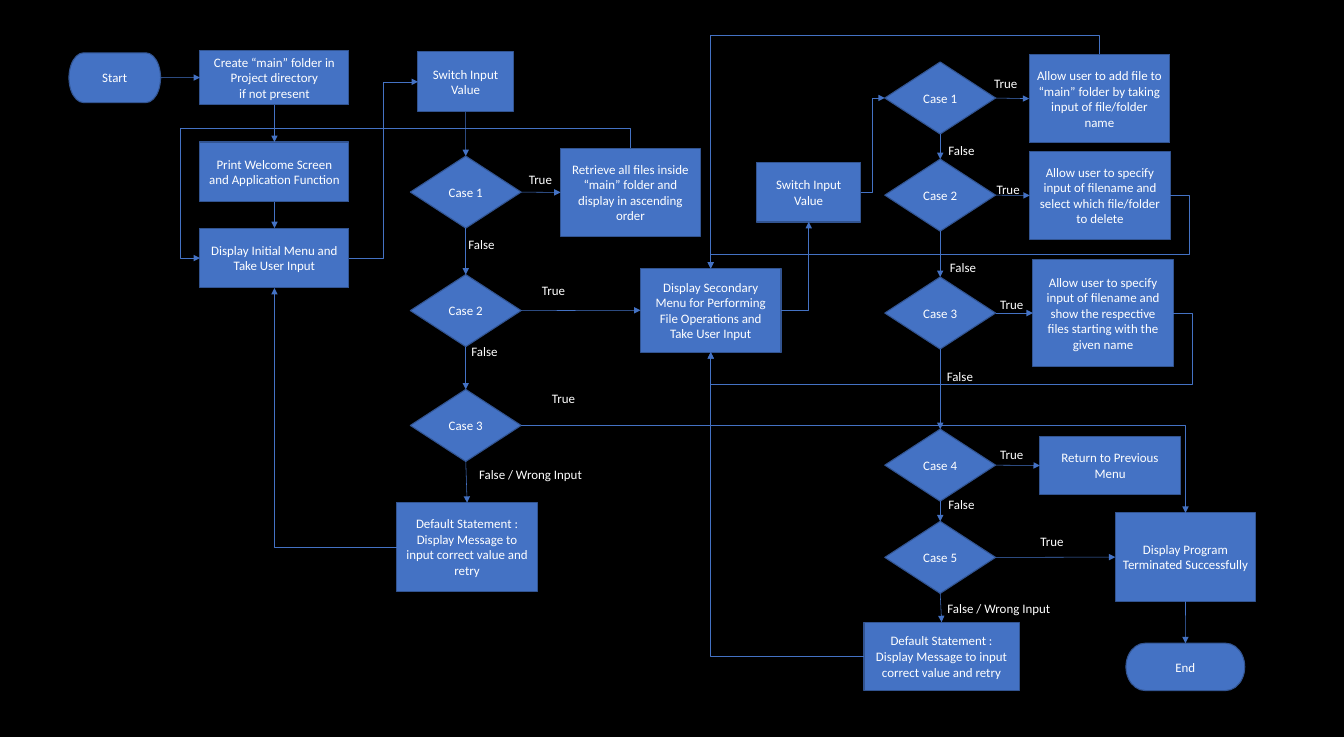
"""Build a flowchart slide of a file handling program with two menus."""
from lxml.etree import SubElement
from pptx import Presentation
from pptx.dml.color import RGBColor
from pptx.enum.shapes import MSO_CONNECTOR as Link, MSO_SHAPE as Shape
from pptx.enum.text import MSO_ANCHOR as Anchor, PP_ALIGN as Align
from pptx.oxml.ns import qn
from pptx.util import Cm, Pt

BLACK, WHITE, BLUE, EDGE = "000000", "FFFFFF", "4472C4", "325491"
TOP, LEFT, BOTTOM, RIGHT = range(4)
RECT, STEP, PILL = Shape.RECTANGLE, Shape.FLOWCHART_PROCESS, Shape.FLOWCHART_TERMINATOR
RETRY = "Default Statement : Display Message to input correct value and retry"

STEPS = {
    "start": (PILL, 2.26, 1.73, 3, 1.63, "Start"),
    "create": (RECT, 6.55, 1.65, 4.88, 1.78,
               "Create “main” folder in Project directory\nif not present"),
    "welcome": (RECT, 6.55, 4.65, 4.88, 1.96, "Print Welcome Screen and Application Function"),
    "menu": (RECT, 6.55, 7.47, 4.88, 1.96, "Display Initial Menu and Take User Input"),
    "switch": (RECT, 13.69, 1.7, 3.12, 1.96, "Switch Input\nValue"),
    "retrieve": (STEP, 18.36, 4.85, 4.58, 2.9,
                 "Retrieve all files inside “main” folder and display in ascending order"),
    "retry": (STEP, 13, 16.46, 4.6, 2.9, RETRY),
    "submenu": (STEP, 20.98, 8.79, 4.6, 2.74,
                "Display Secondary Menu for Performing File Operations and Take User Input"),
    "subswitch": (RECT, 24.79, 5.31, 3.4, 1.96, "Switch Input\nValue"),
    "add": (STEP, 33.71, 1.78, 4.6, 2.9,
            "Allow user to add file to “main” folder by taking input of file/folder name"),
    "delete": (STEP, 33.73, 4.95, 4.6, 2.9,
               "Allow user to specify input of filename and select which file/folder to delete"),
    "show": (STEP, 33.83, 8.51, 4.6, 3.48,
             "Allow user to specify input of filename and show the respective files "
             "starting with the given name"),
    "return": (STEP, 34.06, 14.3, 4.6, 1.88, "Return to Previous Menu"),
    "subretry": (STEP, 28.3, 20.37, 5.08, 2.24, RETRY),
    "terminated": (STEP, 36.53, 16.79, 4.6, 2.9, "Display Program Terminated Successfully"),
    "end": (PILL, 36.88, 21.06, 3.89, 1.55, "End"),
}
CASES = {
    "case": (13.44, [5.11, 8.99, 12.75]),
    "subcase": (28.98, [2.03, 5.21, 9.07, 14.05, 17.07]),
}
CASE_SIZE = 3.63, 2.36

DOWNWARD = [
    ("create", "welcome", "menu"),
    ("switch", "case1", "case2", "case3", "retry"),
    ("subcase1", "subcase2", "subcase3", "subcase4", "subcase5", "subretry"),
    ("terminated", "end"),
]
RIGHTWARD = [
    ("start", "create"), ("case1", "retrieve"), ("case2", "submenu"),
    ("subcase1", "add"), ("subcase2", "delete"), ("subcase3", "show"),
    ("subcase4", "return"), ("subcase5", "terminated"),
]
BENT = [
    ("menu", RIGHT, "switch", LEFT, 3, [0.5]),
    ("retry", LEFT, "menu", BOTTOM, 2, []),
    ("case3", RIGHT, "terminated", TOP, 2, []),
    ("subswitch", RIGHT, "subcase1", LEFT, 3, [0.5]),
    ("subretry", LEFT, "submenu", BOTTOM, 2, []),
    ("retrieve", TOP, "menu", LEFT, 4, [-0.176, 1.045]),
    ("submenu", RIGHT, "subswitch", BOTTOM, 2, []),
    ("show", RIGHT, "submenu", BOTTOM, 4, [-0.042, 1.83]),
    ("delete", RIGHT, "submenu", TOP, 4, [-0.042, 0.802]),
    ("add", TOP, "submenu", TOP, 3, [-0.09]),
]
ANSWERS = {
    ("True", 1.27): [(17.07, 5.49), (17.5, 9.14), (17.83, 12.67), (32.31, 2.36),
                     (32.39, 5.82), (32.51, 9.6), (32.51, 14.5), (33.83, 17.35)],
    ("False", 1.37): [(15.09, 7.62), (15.19, 11.13), (30.81, 4.55), (30.86, 8.38),
                      (30.76, 11.94), (30.81, 16.15)],
    ("False / Wrong Input", 3.91): [(15.44, 15.14), (30.78, 19.53)],
}


def paint(fill, color):
    fill.solid()
    fill.fore_color.rgb = RGBColor.from_string(color)


def write(frame, text, align):
    frame.text = text
    for paragraph in frame.paragraphs:
        paragraph.alignment = align
        paragraph.font.size, paragraph.font.name = Pt(12), "Calibri"
        paint(paragraph.font.fill, WHITE)


def add_step(kind, left, top, width, height, text):
    step = slide.shapes.add_shape(kind, Cm(left), Cm(top), Cm(width), Cm(height))
    step.shadow.inherit = False
    paint(step.fill, BLUE)
    paint(step.line.fill, EDGE)
    step.line.width = Pt(1)
    step.text_frame.vertical_anchor = Anchor.MIDDLE
    write(step.text_frame, text, Align.CENTER)
    return step


def connect(source, exit_side, target, entry_side, kind=Link.STRAIGHT):
    arrow = slide.shapes.add_connector(kind, 0, 0, 0, 0)
    arrow.begin_connect(steps[source], exit_side)
    arrow.end_connect(steps[target], entry_side)
    paint(arrow.line.fill, BLUE)
    arrow.line.width = Pt(0.5)
    properties = arrow._element.spPr
    SubElement(properties.find(qn("a:ln")), qn("a:tailEnd"), type="triangle")
    SubElement(properties, qn("a:effectLst"))
    return arrow


def bend(arrow, preset, turns, upward):
    geometry = arrow._element.spPr.find(qn("a:prstGeom"))
    geometry.set("prst", f"bentConnector{preset}")
    guides = geometry.find(qn("a:avLst"))
    for number, turn in enumerate(turns, 1):
        SubElement(guides, qn("a:gd"), name=f"adj{number}", fmla=f"val {round(turn * 100000)}")
    if upward:
        shift = (arrow.width - arrow.height) // 2
        arrow.left, arrow.top = arrow.left + shift, arrow.top - shift
        arrow.width, arrow.height = arrow.height, arrow.width
        frame = arrow._element.spPr.find(qn("a:xfrm"))
        for key, value in (("rot", "16200000"), ("flipH", "1"), ("flipV", "1")):
            frame.set(key, value)


deck = Presentation()
deck.slide_width, deck.slide_height = Cm(44.02), Cm(24.13)
slide = deck.slides.add_slide(deck.slide_layouts[6])
paint(slide.background.fill, BLACK)

steps = {name: add_step(*step) for name, step in STEPS.items()}
for prefix, (left, tops) in CASES.items():
    for number, top in enumerate(tops, 1):
        steps[f"{prefix}{number}"] = add_step(
            Shape.FLOWCHART_DECISION, left, top, *CASE_SIZE, f"Case {number}")

for chain in DOWNWARD:
    for upper, lower in zip(chain, chain[1:]):
        connect(upper, BOTTOM, lower, TOP)
for source, target in RIGHTWARD:
    connect(source, RIGHT, target, LEFT)
for source, exit_side, target, entry_side, preset, turns in BENT:
    bend(connect(source, exit_side, target, entry_side, Link.ELBOW),
         preset, turns, exit_side == TOP)

for (answer, width), places in ANSWERS.items():
    for left, top in places:
        label = slide.shapes.add_textbox(Cm(left), Cm(top), Cm(width), Cm(0.76))
        label.text_frame.word_wrap = False
        write(label.text_frame, answer, Align.LEFT)

deck.save("out.pptx")
